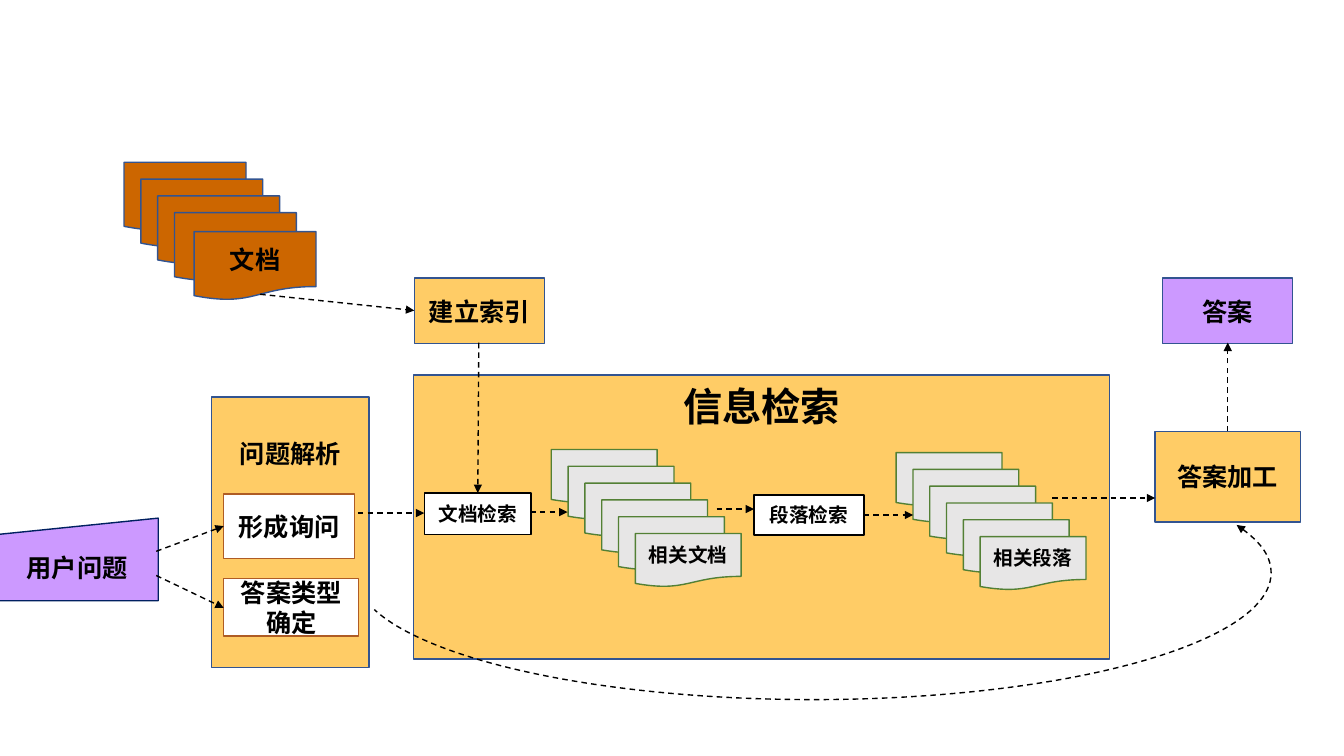
"""Build a slide with the flow of a question answering system."""
from lxml import etree
from pptx import Presentation
from pptx.dml.color import RGBColor
from pptx.enum import dml, shapes, text
from pptx.oxml import ns
from pptx.util import Pt

FONT = "Noto Sans CJK SC"
BLACK, WHITE, NAVY, BLUE = "000000", "FFFFFF", "002060", "325491"
YELLOW, PURPLE, BROWN = "FFCC66", "CC99FF", "AF5C24"
RUST, GREY, GREEN = "CC6600", "E7E6E6", "538035"
RECT = shapes.MSO_SHAPE.RECTANGLE
MANUAL_INPUT = shapes.MSO_SHAPE.FLOWCHART_MANUAL_INPUT
DOCUMENT = shapes.MSO_SHAPE.FLOWCHART_DOCUMENT

# label, size, preset, (left, top, width, height), fill, line, top inset or None
BOXES = [
    ("用户问题", 18, MANUAL_INPUT, (-2.9, 370.1, 115.9, 59), PURPLE, NAVY, None),
    ("问题解析", 18, RECT, (151.2, 283.7, 112.3, 193), YELLOW, BLUE, 29.7),
    ("答案加工", 18, RECT, (825.1, 308.2, 103.7, 64.8), YELLOW, BLUE, None),
    ("建立索引", 18, RECT, (295.9, 198.7, 92.9, 46.8), YELLOW, BLUE, None),
    ("信息检索", 28, RECT, (295.2, 267.8, 497.5, 203), YELLOW, BLUE, 5.5),
    ("形成询问", 18, RECT, (159.8, 352.8, 93.6, 46.1), WHITE, BROWN, None),
    ("答案类型确定", 18, RECT, (159.8, 413.3, 96.5, 41), WHITE, BROWN, None),
    ("文档检索", 14, RECT, (303.1, 352.1, 76.3, 29.5), WHITE, BLACK, None),
    ("段落检索", 14, RECT, (538.6, 353.5, 78.5, 28.8), WHITE, BLACK, None),
    ("答案", 18, RECT, (830.2, 198.7, 92.9, 46.8), PURPLE, BLUE, None),
]
STACK_STEP = 12
STACKS = [
    ("相关文档", 14, 5, (393.8, 321.1), (453.8, 381.1), (75.6, 38.2), GREY, GREEN),
    ("相关段落", 14, 5, (640.1, 323.3), (700.1, 383.3), (75.6, 38.2), GREY, GREEN),
    ("文档", 18, 4, (88.6, 115.9), (138.6, 165.4), (87.1, 49), RUST, BLUE),
]
ARROWS = [
    (342, 244.8, 341.3, 352.1),
    (378.7, 365.8, 405.4, 365.8),
    (511.9, 363.6, 538.6, 363.6),
    (617, 367.9, 652.3, 367.9),
    (255.6, 366.5, 303.1, 366.5),
    (751.7, 355.7, 825.1, 355.7),
    (877, 308.2, 877, 244.8),
    (185.8, 210.2, 295.9, 221.8),
    (111.6, 393.8, 159.8, 375.8),
    (111.6, 411.1, 159.8, 434.2),
]
ARC_PLACE = (253.4, 319, 654.5, 180.7)
ARC_ANGLES = (104.11, 213.15)


def color(value):
    return RGBColor.from_string(value)


def add_box(page, preset, place, fill, line):
    box = page.shapes.add_shape(preset, *map(Pt, place))
    box.shadow.inherit = False
    box.fill.solid()
    box.fill.fore_color.rgb = color(fill)
    box.line.color.rgb = color(line)
    box.line.width = Pt(1)
    return box


def add_label(box, label, size, inset=None):
    frame = box.text_frame
    frame.word_wrap = True
    frame.vertical_anchor = text.MSO_ANCHOR.MIDDLE
    if inset is not None:
        frame.vertical_anchor = text.MSO_ANCHOR.TOP
        frame.margin_top = Pt(inset)
    para = frame.paragraphs[0]
    para.alignment = text.PP_ALIGN.CENTER
    span = para.add_run()
    span.text = label
    span.font.size = Pt(size)
    span.font.bold = True
    span.font.color.rgb = color(BLACK)
    span.font.name = FONT
    properties = span.font._element
    etree.SubElement(properties, ns.qn("a:ea"), typeface=FONT)


def style_arrow(shape, end):
    shape.line.color.rgb = color(BLACK)
    shape.line.width = Pt(1)
    shape.line.dash_style = dml.MSO_LINE.DASH
    outline = shape._element.spPr.find(ns.qn("a:ln"))
    etree.SubElement(outline, ns.qn(end), type="triangle")


def main():
    deck = Presentation()
    deck.slide_width, deck.slide_height = Pt(960), Pt(540)
    page = deck.slides.add_slide(deck.slide_layouts[6])

    for label, size, preset, place, fill, line, inset in BOXES:
        add_label(add_box(page, preset, place, fill, line), label, size, inset)

    for label, size, count, (left, top), front, extent, fill, line in STACKS:
        for i in range(count):
            shift = i * STACK_STEP
            place = (left + shift, top + shift, *extent)
            add_box(page, DOCUMENT, place, fill, line)
        sheet = add_box(page, DOCUMENT, (*front, *extent), fill, line)
        add_label(sheet, label, size)

    for ends in ARROWS:
        arrow = page.shapes.add_connector(
            shapes.MSO_CONNECTOR.STRAIGHT, *map(Pt, ends))
        style_arrow(arrow, "a:tailEnd")
        etree.SubElement(arrow._element.spPr, ns.qn("a:effectLst"))

    arc = page.shapes.add_shape(shapes.MSO_SHAPE.ARC, *map(Pt, ARC_PLACE))
    arc.shadow.inherit = False
    arc.fill.background()
    arc.rotation = 180
    arc.adjustments[0], arc.adjustments[1] = ARC_ANGLES
    style_arrow(arc, "a:headEnd")

    deck.save("out.pptx")


if __name__ == "__main__":
    main()
